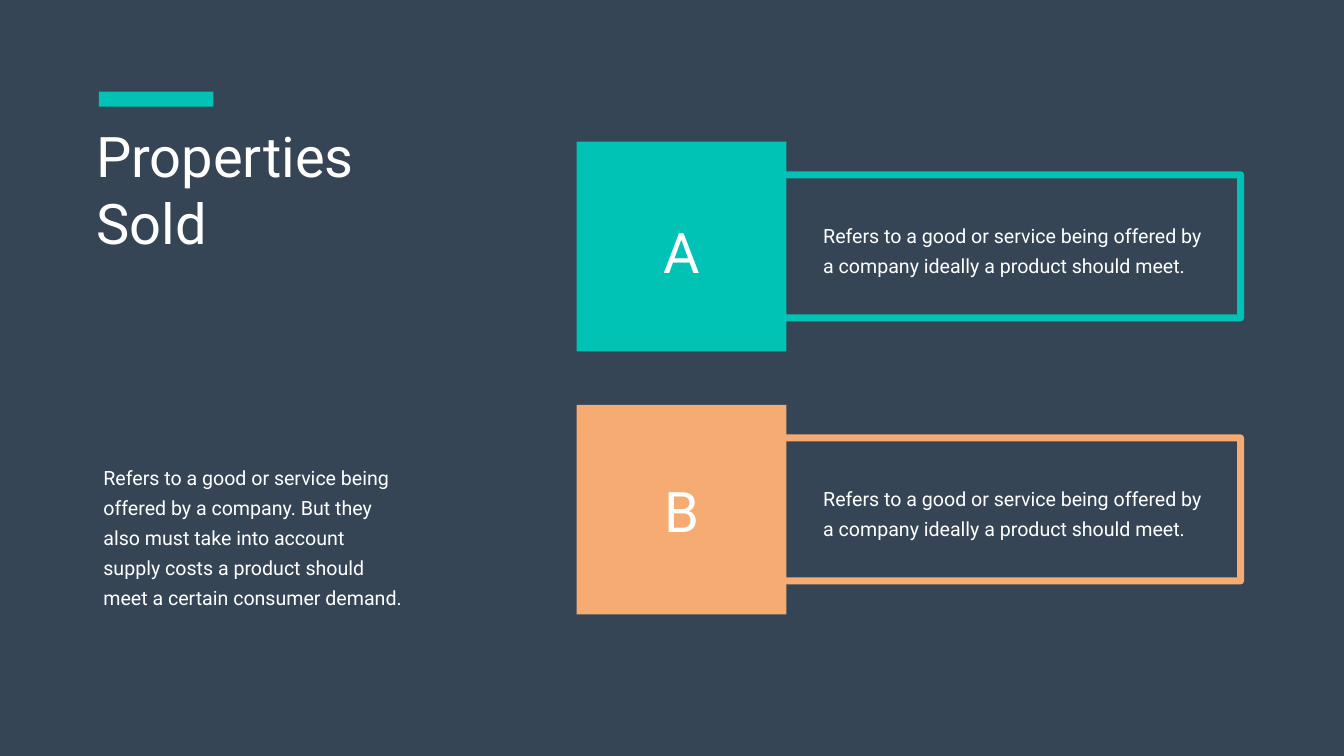
from dataclasses import dataclass

from lxml import etree
from pptx import Presentation
from pptx.dml.color import RGBColor
from pptx.enum.shapes import MSO_SHAPE
from pptx.enum.text import MSO_ANCHOR, MSO_AUTO_SIZE, PP_ALIGN
from pptx.oxml.ns import qn
from pptx.util import Cm, Pt

RECT = MSO_SHAPE.RECTANGLE
TOP = MSO_ANCHOR.TOP
FIXED = MSO_AUTO_SIZE.NONE
LEFT, CENTER = PP_ALIGN.LEFT, PP_ALIGN.CENTER


@dataclass(frozen=True)
class Theme:
    navy: RGBColor = RGBColor.from_string("364556")
    teal: RGBColor = RGBColor.from_string("00C2B5")
    peach: RGBColor = RGBColor.from_string("F6AB72")
    white: RGBColor = RGBColor.from_string("FFFFFF")
    font: str = "Roboto"
    large: Pt = Pt(80)
    small: Pt = Pt(28)
    lead: Pt = Pt(43)
    edge: Pt = Pt(10)


def write(frame, text, theme, size, align=LEFT, lead=None, pad=(0.25, 0.13)):
    frame.word_wrap = True
    frame.auto_size = FIXED
    frame.vertical_anchor = TOP
    frame.margin_left = frame.margin_right = Cm(pad[0])
    frame.margin_top = frame.margin_bottom = Cm(pad[1])
    frame.text = text
    para = frame.paragraphs[0]
    props = para._p.get_or_add_pPr()
    props.set("marL", "0")
    props.set("indent", "0")
    etree.SubElement(props, qn("a:buNone"))
    para.alignment = align
    para.space_before = Pt(0)
    if lead:
        para.line_spacing = lead
    font = para.runs[0].font
    font.name, font.size = theme.font, size
    font.color.rgb = theme.white


class Deck:
    """Holds the theme and the current slide, and draws each kind of element."""

    def __init__(self, theme):
        self.theme = theme
        self.show = Presentation()
        self.show.slide_width, self.show.slide_height = Cm(67.72), Cm(38.1)
        self.slide = self.show.slides.add_slide(self.show.slide_layouts[1])
        fill = self.slide.background.fill
        fill.solid()
        fill.fore_color.rgb = theme.navy

    def place(self, index, text, box, **style):
        holder = self.slide.placeholders[index]
        holder.left, holder.top, holder.width, holder.height = map(Cm, box)
        write(holder.text_frame, text, self.theme, **style)

    def text(self, text, box, **style):
        shape = self.slide.shapes.add_textbox(*map(Cm, box))
        write(shape.text_frame, text, self.theme, **style)

    def block(self, box, color):
        shape = self.slide.shapes.add_shape(RECT, *map(Cm, box))
        shape.shadow.inherit = False
        shape.fill.solid()
        shape.fill.fore_color.rgb = color
        shape.line.fill.background()

    def frame(self, left, top, color):
        wide, high, notch = 25.53, 7.21, 1.68
        points = [(wide, high), (0, high), (0, 4.57), (notch, 3.6),
                  (0, 2.64), (0, 0), (wide, 0)]
        points = [(Cm(left + x), Cm(top + y)) for x, y in points]
        path = self.slide.shapes.build_freeform(*points[0])
        path.add_line_segments(points[1:], close=True)
        shape = path.convert_to_shape()
        shape.shadow.inherit = False
        shape.fill.background()
        shape.line.color.rgb = color
        shape.line.width = self.theme.edge
        etree.SubElement(shape.line._get_or_add_ln(), qn("a:round"))

    def card(self, letter, text, top, drop, color, **style):
        side = 10.57
        self.block((29.06, top, side, side), color)
        self.frame(36.98, top + 1.67, color)
        self.text(text, (40.87, top + 3.5, 20.37, 3.53), **style)
        self.text(letter, (32.92, top + drop, 2.9, 3.68),
                  size=self.theme.large, align=CENTER)


def main():
    theme = Theme()
    deck = Deck(theme)
    prose = dict(size=theme.small, lead=theme.lead, pad=(0.61, 0.3))
    deck.place(0, "Properties Sold", (4.6, 6, 16.3, 7.1), size=theme.large)
    deck.block((4.98, 4.62, 5.77, 0.76), theme.teal)
    deck.place(1, "Refers to a good or service being offered by a company. "
               "But they also must take into account supply costs a product "
               "should meet a certain consumer demand.",
               (4.6, 22.83, 16.3, 8.13), **prose)
    claim = ("Refers to a good or service being offered by a company "
             "ideally a product should meet.")
    cards = [("A", 7.14, 3.71, theme.teal), ("B", 20.4, 3.48, theme.peach)]
    for letter, top, drop, color in cards:
        deck.card(letter, claim, top, drop, color, **prose)
    deck.show.save("out.pptx")


if __name__ == "__main__":
    main()
